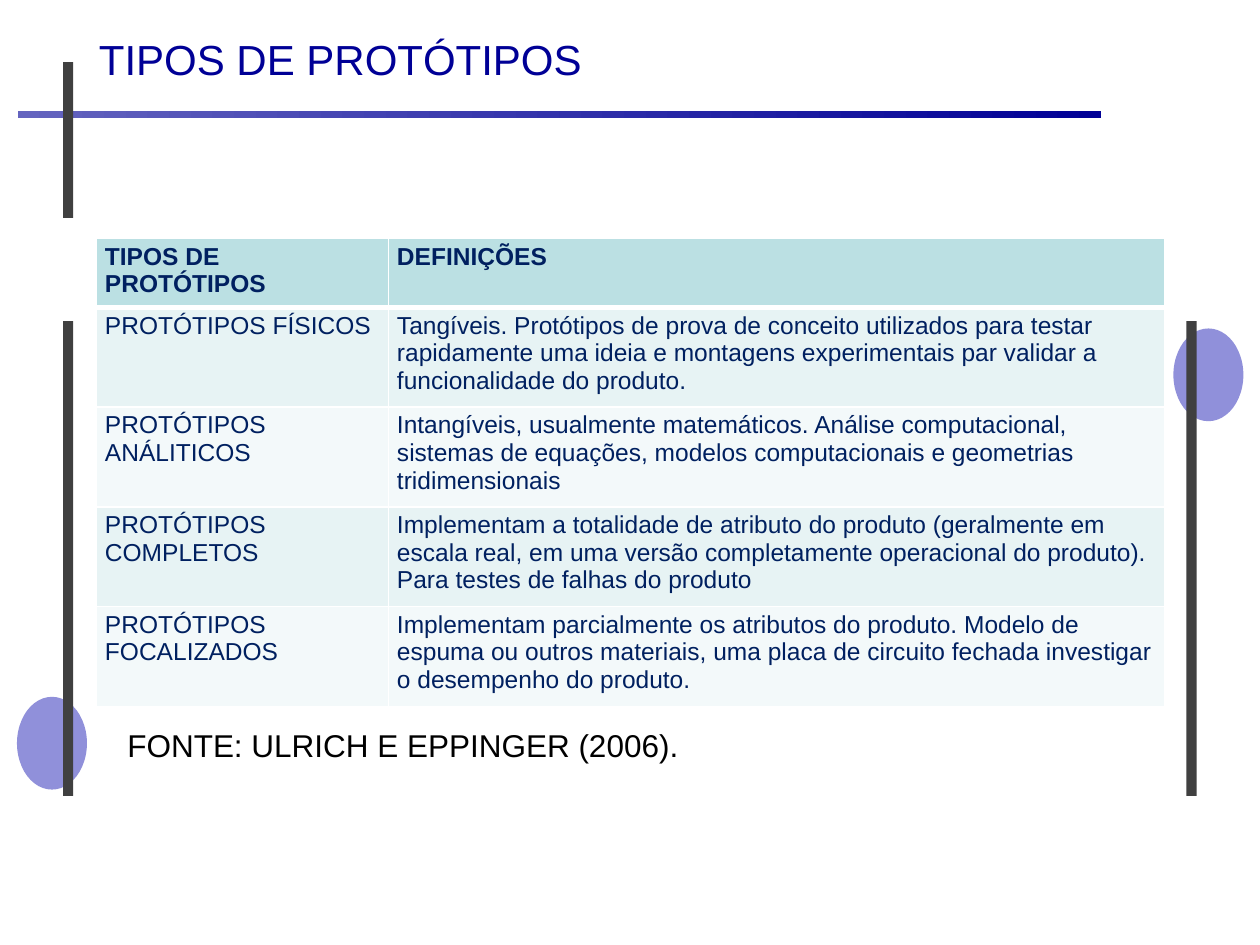
from lxml.etree import SubElement
from pptx import Presentation
from pptx.dml.color import RGBColor
from pptx.enum.shapes import MSO_SHAPE as Shape
from pptx.enum.text import MSO_ANCHOR as Anchor
from pptx.oxml.ns import qn
from pptx.util import Pt

WHITE = RGBColor(0xFF, 0xFF, 0xFF)
BLACK = RGBColor(0, 0, 0)
NAVY = RGBColor(0x00, 0x20, 0x60)
BLUE = RGBColor(0x00, 0x00, 0x96)
LIGHT_BLUE = RGBColor(0x64, 0x64, 0xBF)
LILAC = RGBColor(0x75, 0x75, 0xD1)
GRAY = RGBColor(0x40, 0x40, 0x40)
HEADER_TEAL = RGBColor(0xBB, 0xE0, 0xE3)
BANDS = [RGBColor(0xE7, 0xF3, 0xF4), RGBColor(0xF3, 0xF9, 0xFA)]

PROTOTYPES = [
    ("TIPOS DE PROTÓTIPOS", "DEFINIÇÕES"),
    ("PROTÓTIPOS FÍSICOS",
     "Tangíveis. Protótipos de prova de conceito utilizados para testar "
     "rapidamente uma ideia e montagens experimentais par validar a "
     "funcionalidade do produto."),
    ("PROTÓTIPOS ANÁLITICOS",
     "Intangíveis, usualmente matemáticos. Análise computacional, sistemas de "
     "equações, modelos computacionais e geometrias tridimensionais"),
    ("PROTÓTIPOS COMPLETOS",
     "Implementam a totalidade de atributo do produto (geralmente em escala "
     "real, em uma versão completamente operacional do produto). Para testes "
     "de falhas do produto"),
    ("PROTÓTIPOS FOCALIZADOS",
     "Implementam parcialmente os atributos do produto. Modelo de espuma ou "
     "outros materiais, uma placa de circuito fechada investigar o desempenho "
     "do produto."),
]


def write(frame, text, size=14, color=NAVY, bold=False):
    frame.word_wrap = True
    paragraph = frame.paragraphs[0]
    run = paragraph.add_run()
    run.text = text
    run.font.name = "Arial"
    run.font.size = Pt(size)
    run.font.bold = bold
    run.font.color.rgb = color


def add_text(slide, box, text, anchor=Anchor.TOP, **style):
    frame = slide.shapes.add_textbox(*map(Pt, box)).text_frame
    frame.vertical_anchor = anchor
    write(frame, text, **style)


def add_ornament(slide, kind, box, color):
    ornament = slide.shapes.add_shape(kind, *map(Pt, box))
    ornament.shadow.inherit = False
    ornament.line.fill.background()
    ornament.fill.solid()
    ornament.fill.fore_color.rgb = color
    return ornament


def add_title_rule(slide):
    rule = add_ornament(slide, Shape.RECTANGLE, (10, 63.5, 619, 4), BLUE)
    rule.fill.gradient()
    rule.fill.gradient_angle = 0
    for stop, position, color in zip(rule.fill.gradient_stops, (0, 1), (LIGHT_BLUE, BLUE)):
        stop.position = position
        stop.color.rgb = color


def add_disc(slide, left, top):
    disc = add_ornament(slide, Shape.OVAL, (left, top, 40, 53), LILAC)
    color = next(disc.fill._xPr.iter(qn("a:srgbClr")))
    SubElement(color, qn("a:alpha"), val="80000")


def add_border(cell, side, width):
    border = SubElement(cell._tc.get_or_add_tcPr(), qn(f"a:ln{side}"), w=str(Pt(width)))
    fill = SubElement(border, qn("a:solidFill"))
    SubElement(fill, qn("a:srgbClr"), val=str(WHITE))


def format_cell(cell, row, text):
    cell.margin_left = cell.margin_right = Pt(5)
    cell.margin_top = cell.margin_bottom = Pt(2.6)
    widths = {"L": 1, "R": 1, "T": 3 if row == 1 else 1, "B": 3 if row == 0 else 1}
    for side, width in widths.items():
        add_border(cell, side, width)
    cell.fill.solid()
    cell.fill.fore_color.rgb = BANDS[(row - 1) % 2] if row else HEADER_TEAL
    write(cell.text_frame, text, bold=row == 0)


def add_prototype_table(slide):
    table = slide.shapes.add_table(
        len(PROTOTYPES), 2, Pt(55), Pt(136.2), Pt(610.4), Pt(267.5)).table
    for column, width in zip(table.columns, (166.9, 443.5)):
        column.width = Pt(width)
    for row, texts in enumerate(PROTOTYPES):
        table.rows[row].height = Pt(57 if row else 39.5)
        for column, text in enumerate(texts):
            format_cell(table.cell(row, column), row, text)


def main():
    deck = Presentation()
    deck.slide_width, deck.slide_height = Pt(720), Pt(540)
    slide = deck.slides.add_slide(deck.slide_layouts[6])
    add_title_rule(slide)
    for left, top in ((670.5, 187.7), (9.7, 398.2)):
        add_disc(slide, left, top)
    for left, top, height in ((678, 183.5, 271.3), (36, 35.5, 89), (36, 183.5, 271.3)):
        add_ornament(slide, Shape.RECTANGLE, (left, top, 5.8, height), GRAY)
    add_text(slide, (49.5, -18.5, 620.5, 104.5), "TIPOS DE PROTÓTIPOS",
             anchor=Anchor.MIDDLE, size=24, color=BLUE)
    add_prototype_table(slide)
    add_text(slide, (65.7, 411.4, 364.5, 29), "FONTE: ULRICH E EPPINGER (2006).",
             size=18, color=BLACK)
    deck.save("out.pptx")


if __name__ == "__main__":
    main()
